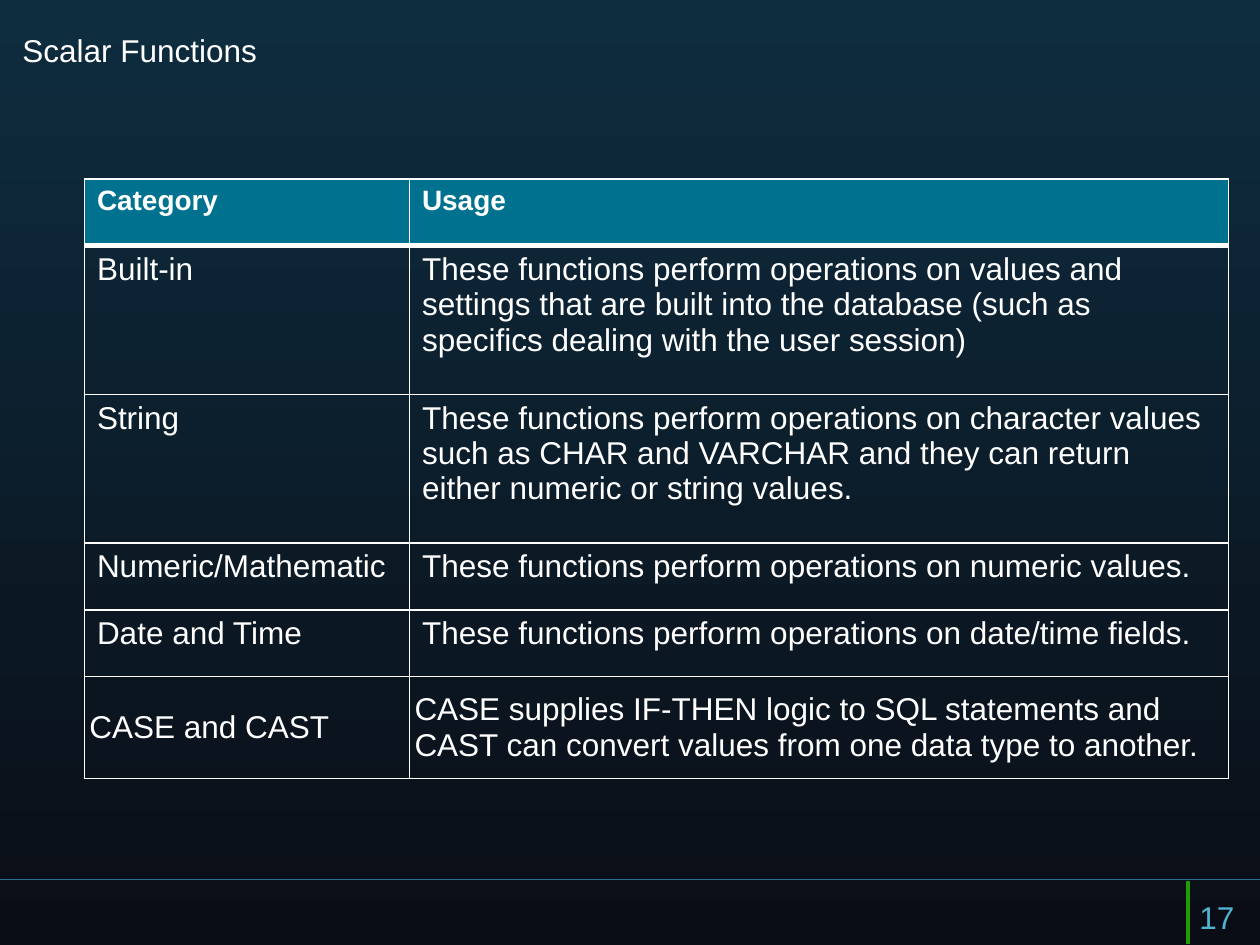
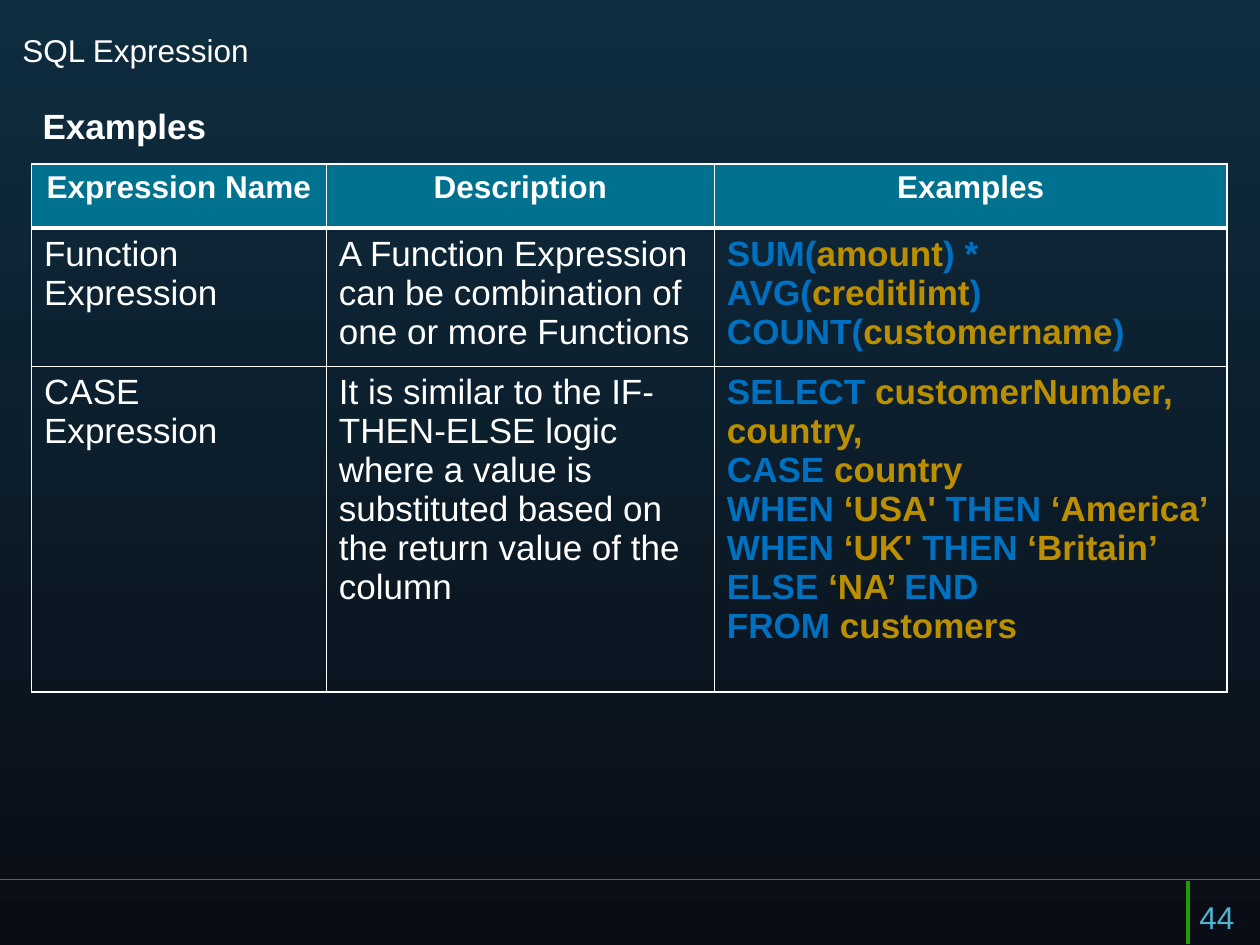
from itertools import cycle

from pptx import Presentation
from pptx.dml.color import RGBColor
from pptx.enum.shapes import MSO_CONNECTOR
from pptx.enum.text import MSO_ANCHOR, PP_ALIGN
from pptx.oxml import parse_xml
from pptx.oxml.ns import nsdecls, qn
from pptx.util import Inches, Pt
from lxml.etree import SubElement

FONT = "Arial"
WHITE = RGBColor(0xFF, 0xFF, 0xFF)
BACKGROUND_TOP = RGBColor(0x0E, 0x2D, 0x3F)
BACKGROUND_BOTTOM = RGBColor(0x0A, 0x0D, 0x16)
HEADER_TEAL = RGBColor(0x00, 0x72, 0x8F)
FOOTER_BLUE = RGBColor(0x28, 0x70, 0x94)
FOOTER_GREEN = RGBColor(0x20, 0x9D, 0x03)
NUMBER_BLUE = RGBColor(0x50, 0xB3, 0xCF)
KEYWORD_BLUE = RGBColor(0x00, 0x70, 0xC0)
NAME_GOLD = RGBColor(0xBC, 0x8F, 0x00)

SLIDE_WIDTH, SLIDE_HEIGHT = 10, 7.5

FUNCTION_ROWS = [
    ("Category", "Usage"),
    ("Built-in",
     "These functions perform operations on values and settings that are built "
     "into the database (such as specifics dealing with the user session)"),
    ("String",
     "These functions perform operations on character values such as CHAR and "
     "VARCHAR and they can return either numeric or string values."),
    ("Numeric/Mathematic", "These functions perform operations on numeric values."),
    ("Date and Time", "These functions perform operations on date/time fields."),
    ("CASE and CAST",
     "CASE supplies IF-THEN logic to SQL statements and CAST can convert values "
     "from one data type to another."),
]

# Code is a list of lines; the parts of a line alternate keyword, name, keyword...
FUNCTION_CODE = [
    ("SUM(", "amount", ") * AVG(", "creditlimt", ")"),
    ("COUNT(", "customername", ")"),
]
CASE_CODE = [
    ("SELECT ", "customerNumber, country,"),
    ("CASE ", "country"),
    ("WHEN ", "‘USA' ", "THEN", " ‘America’"),
    ("WHEN", " ‘UK' ", "THEN", " ‘Britain’"),
    ("ELSE", " ‘NA’ ", "END"),
    ("FROM", " customers"),
]
EXPRESSION_ROWS = [
    ("Expression Name", "Description", "Examples"),
    ("Function Expression",
     "A Function Expression can be combination of one or more Functions",
     FUNCTION_CODE),
    ("CASE Expression",
     "It is similar to the IF-THEN-ELSE logic where a value is substituted based "
     "on the return value of the column",
     CASE_CODE),
]


def style_font(paragraph, size, color=WHITE, bold=False):
    font = paragraph.font
    font.name, font.size, font.bold = FONT, Pt(size), bold
    font.color.rgb = color


def add_text(slide, box, text, size, color=WHITE, bold=False):
    frame = slide.shapes.add_textbox(*map(Inches, box)).text_frame
    frame.word_wrap = True
    frame.text = text
    style_font(frame.paragraphs[0], size, color, bold)


def add_rule(slide, start, end, color, width):
    rule = slide.shapes.add_connector(
        MSO_CONNECTOR.STRAIGHT, *map(Inches, start + end))
    rule.line.color.rgb = color
    rule.line.width = Pt(width)
    SubElement(rule._element.spPr, qn("a:effectLst"))


def add_base_slide(deck, title, number):
    """Slide with the shared background, title and footer."""
    slide = deck.slides.add_slide(deck.slide_layouts[6])
    fill = slide.background.fill
    fill.gradient()
    fill.gradient_angle = 270
    for stop, color, position in zip(
            fill.gradient_stops, (BACKGROUND_TOP, BACKGROUND_BOTTOM), (0, 1)):
        stop.color.rgb = color
        stop.position = position
    # Footer rules and slide number
    add_rule(slide, (SLIDE_WIDTH, 6.98), (0, 6.98), FOOTER_BLUE, 0.75)
    add_rule(slide, (9.43, 6.99), (9.43, 7.49), FOOTER_GREEN, 2)
    add_text(slide, (9.42, 7.08, 0.58, 0.42), number, 18, NUMBER_BLUE)
    # Title
    add_text(slide, (0.08, 0.2, 7.5, 0.58), title, 18)
    return slide


def set_borders(cell, top, bottom):
    properties = cell._tc.get_or_add_tcPr()
    for side, width in (("L", 1), ("R", 1), ("T", top), ("B", bottom)):
        properties.append(parse_xml(
            f'<a:ln{side} {nsdecls("a")} w="{Pt(width)}"><a:solidFill>'
            f'<a:srgbClr val="{WHITE}"/></a:solidFill></a:ln{side}>'))


def write_code(frame, lines, size):
    for index, parts in enumerate(lines):
        paragraph = frame.add_paragraph() if index else frame.paragraphs[0]
        style_font(paragraph, size, bold=True)
        for part, color in zip(parts, cycle((KEYWORD_BLUE, NAME_GOLD))):
            run = paragraph.add_run()
            run.text = part
            run.font.color.rgb = color


def add_grid(slide, left, top, widths, heights, rows,
             header_size, body_size, header_align=PP_ALIGN.LEFT):
    """Bordered table with a teal header row; returns the table."""
    table = slide.shapes.add_table(
        len(rows), len(widths), Inches(left), Inches(top),
        Inches(sum(widths)), Inches(sum(heights))).table
    table.first_row = table.horz_banding = False
    for column, width in zip(table.columns, widths):
        column.width = Inches(width)
    for row_index, (row, height, contents) in enumerate(
            zip(table.rows, heights, rows)):
        row.height = Inches(height)
        is_header = row_index == 0
        for cell, content in zip(row.cells, contents):
            set_borders(cell, top=3 if row_index == 1 else 1,
                        bottom=3 if is_header else 1)
            if is_header:
                cell.fill.solid()
                cell.fill.fore_color.rgb = HEADER_TEAL
            else:
                cell.fill.background()
            if isinstance(content, list):
                write_code(cell.text_frame, content, body_size)
                continue
            cell.text = content
            paragraph = cell.text_frame.paragraphs[0]
            style_font(paragraph, header_size if is_header else body_size,
                       bold=is_header)
            if is_header:
                paragraph.alignment = header_align
    return table


def add_functions_slide(deck):
    slide = add_base_slide(deck, "Scalar Functions", "17")
    functions = add_grid(
        slide, 0.67, 1.42, (2.58, 6.5), (0.53, 1.18, 1.18, 0.53, 0.53, 0.81),
        FUNCTION_ROWS, header_size=16, body_size=18)
    # The last row is centred vertically, with tight margins
    for cell in functions.rows[len(FUNCTION_ROWS) - 1].cells:
        cell.vertical_anchor = MSO_ANCHOR.MIDDLE
        cell.margin_left = cell.margin_right = Inches(0.04)
        cell.margin_top = cell.margin_bottom = Inches(0.04)


def add_expressions_slide(deck):
    slide = add_base_slide(deck, "SQL Expression", "44")
    add_text(slide, (0.24, 0.78, 9.5, 0.55), "Examples", 20, bold=True)
    add_grid(slide, 0.25, 1.3, (2.34, 3.08, 4.07), (0.51, 1.03, 2.58),
             EXPRESSION_ROWS, header_size=18, body_size=20,
             header_align=PP_ALIGN.CENTER)


def main():
    deck = Presentation()
    deck.slide_width, deck.slide_height = Inches(SLIDE_WIDTH), Inches(SLIDE_HEIGHT)
    add_functions_slide(deck)
    add_expressions_slide(deck)
    deck.save("out.pptx")


if __name__ == "__main__":
    main()
